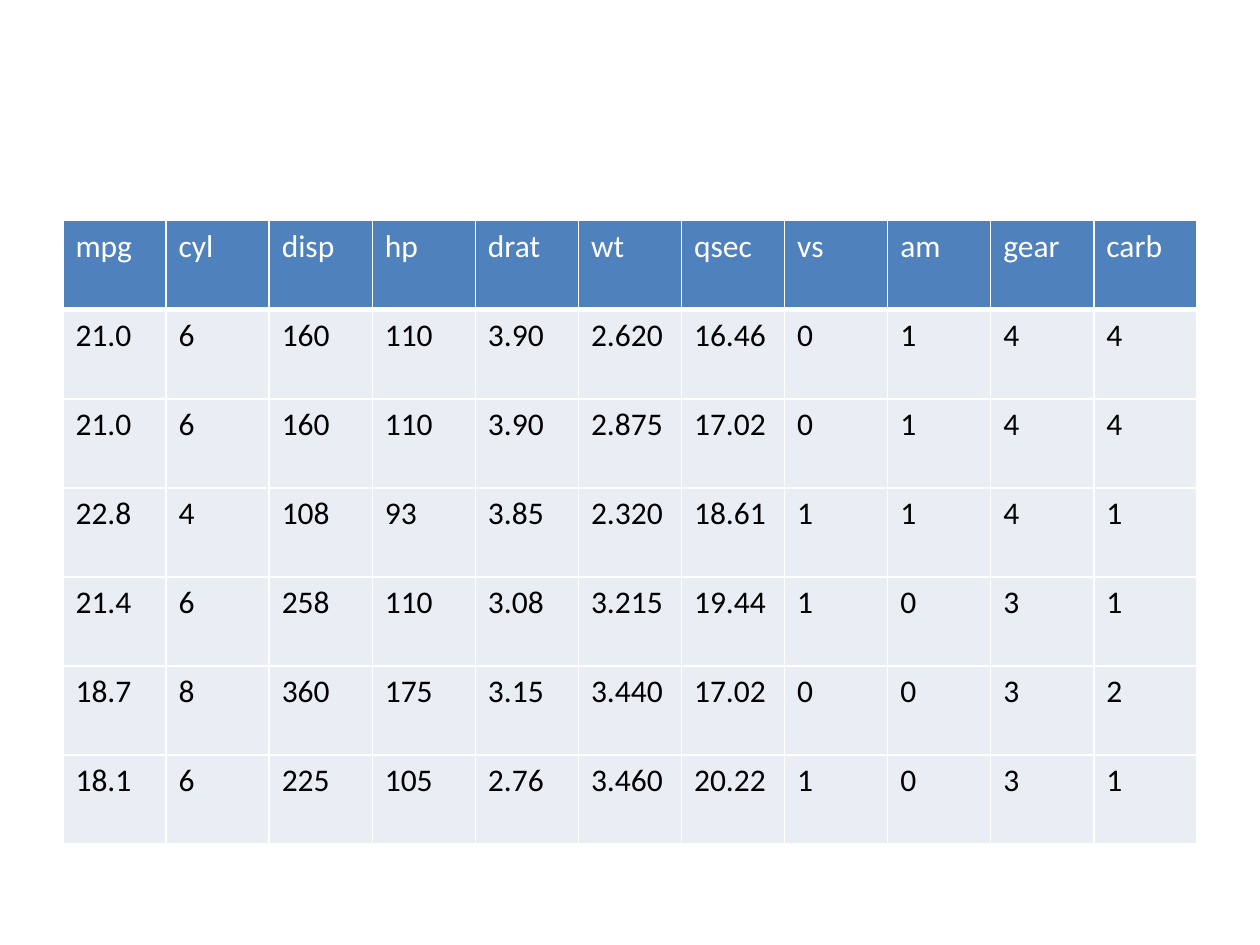
from dataclasses import dataclass

from lxml import etree
from pptx import Presentation
from pptx.dml.color import RGBColor
from pptx.enum.text import PP_ALIGN
from pptx.oxml.ns import qn
from pptx.util import Cm, Pt

LEFT = PP_ALIGN.LEFT
BLANK_LAYOUT = 6


@dataclass(frozen=True)
class Theme:
    font: str = "Calibri"
    size: int = 18
    header_fill: str = "4F81BD"
    header_text: str = "FFFFFF"
    body_fill: str = "E9EDF4"
    body_text: str = "000000"
    border: str = "FFFFFF"
    thin: int = 1
    thick: int = 3


HEADERS = ["mpg", "cyl", "disp", "hp", "drat", "wt", "qsec", "vs", "am", "gear", "carb"]
CARS = [
    ["21.0", "6", "160", "110", "3.90", "2.620", "16.46", "0", "1", "4", "4"],
    ["21.0", "6", "160", "110", "3.90", "2.875", "17.02", "0", "1", "4", "4"],
    ["22.8", "4", "108", "93", "3.85", "2.320", "18.61", "1", "1", "4", "1"],
    ["21.4", "6", "258", "110", "3.08", "3.215", "19.44", "1", "0", "3", "1"],
    ["18.7", "8", "360", "175", "3.15", "3.440", "17.02", "0", "0", "3", "2"],
    ["18.1", "6", "225", "105", "2.76", "3.460", "20.22", "1", "0", "3", "1"],
]


class SlideBuilder:
    def __init__(self, slide, theme):
        self.s = slide
        self.theme = theme

    def table(self, left, top, width, height, headers, rows):
        data = [headers] + rows
        frame = self.s.shapes.add_table(len(data), len(headers), left, top, width, height)
        table = frame.table
        table.horz_banding = False
        for column in table.columns:
            column.width = width // len(headers)
        for row in table.rows:
            row.height = height // len(data)
        for i, values in enumerate(data):
            for j, text in enumerate(values):
                self.cell(table.cell(i, j), text, is_header=i == 0)

    def cell(self, cell, text, is_header):
        t = self.theme
        fill, color = (t.header_fill, t.header_text) if is_header else (t.body_fill, t.body_text)
        self.borders(cell, bottom=t.thick if is_header else t.thin)
        cell.fill.solid()
        cell.fill.fore_color.rgb = RGBColor.from_string(fill)
        p = cell.text_frame.paragraphs[0]
        p.text = text
        p.alignment = LEFT
        p.font.name = t.font
        p.font.size = Pt(t.size)
        p.font.bold = False
        p.font.color.rgb = RGBColor.from_string(color)

    def borders(self, cell, bottom):
        # Border lines come before the fill in the cell properties
        tc_pr = cell._tc.get_or_add_tcPr()
        thin = self.theme.thin
        for side, width in (("L", thin), ("R", thin), ("T", thin), ("B", bottom)):
            ln = etree.SubElement(tc_pr, qn(f"a:ln{side}"), w=str(Pt(width)))
            solid = etree.SubElement(ln, qn("a:solidFill"))
            etree.SubElement(solid, qn("a:srgbClr"), val=self.theme.border)


def main():
    prs = Presentation()
    prs.slide_width, prs.slide_height = Cm(25.4), Cm(19.05)
    s = prs.slides.add_slide(prs.slide_layouts[BLANK_LAYOUT])

    # Car data table
    builder = SlideBuilder(s, Theme())
    builder.table(Cm(1.27), Cm(4.45), Cm(22.86), Cm(12.57), HEADERS, CARS)

    prs.save("out.pptx")


if __name__ == "__main__":
    main()
